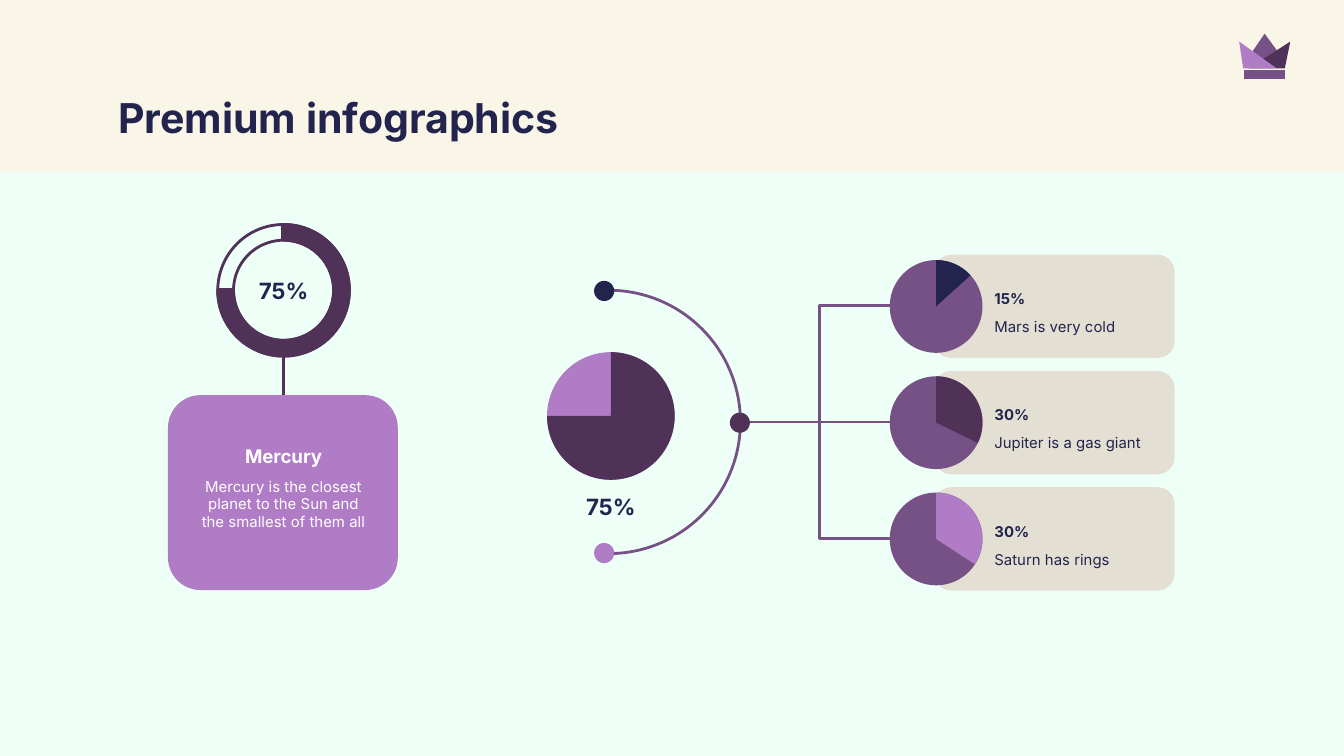
from dataclasses import dataclass
from typing import Optional, Sequence

from lxml.etree import SubElement
from pptx import Presentation
from pptx.dml.color import RGBColor
from pptx.enum.shapes import MSO_CONNECTOR as Link, MSO_SHAPE as Preset
from pptx.enum.text import MSO_ANCHOR as Anchor, MSO_AUTO_SIZE as Fit, PP_ALIGN as Align
from pptx.oxml.ns import qn
from pptx.shapes.autoshape import Shape
from pptx.slide import Slide
from pptx.util import Inches, Pt


@dataclass(frozen=True)
class Theme:
    font: str = "Inter"
    mint: str = "EEFFF7"
    cream: str = "FAF6E7"
    sand: str = "E3DFD2"
    navy: str = "22244E"
    plum: str = "503259"
    violet: str = "765186"
    lilac: str = "B07CC6"
    white: str = "FFFFFF"
    title: float = 22
    figure: float = 12
    heading: float = 10
    body: float = 8
    stroke: float = 1.5


THEME = Theme()
TOP_ANGLE = 270
ROW_STEP = 1.73 / 2
HUB_X, HUB_Y = 5.58, 3.14


@dataclass(frozen=True)
class Area:
    left: float
    top: float
    width: float
    height: float


@dataclass(frozen=True)
class Planet:
    share: str
    fact: str
    end_angle: float
    color: str


@dataclass(frozen=True)
class Dot:
    left: float
    top: float
    color: str


@dataclass(frozen=True)
class CrownPiece:
    points: Sequence[tuple[float, float]]
    color: str


PLANETS = [
    Planet("15%", "Mars is very cold", 317.94, THEME.navy),
    Planet("30%", "Jupiter is a gas giant", 25.78, THEME.plum),
    Planet("30%", "Saturn has rings", 33.16, THEME.lilac),
]
DOTS = [
    Dot(4.42, 2.09, THEME.navy),
    Dot(4.42, 4.04, THEME.lilac),
    Dot(5.43, 3.07, THEME.plum),
]
CROWN = [
    CrownPiece([(9.26, 0.52), (9.56, 0.52), (9.56, 0.59), (9.26, 0.59)], THEME.violet),
    CrownPiece([(9.26, 0.47), (9.41, 0.25), (9.57, 0.47)], THEME.violet),
    CrownPiece([(9.56, 0.51), (9.6, 0.31), (9.29, 0.51)], THEME.plum),
    CrownPiece([(9.25, 0.51), (9.22, 0.31), (9.5, 0.51)], THEME.lilac),
]


def rgb(color: str) -> RGBColor:
    return RGBColor.from_string(color)


def paint(shape: Shape, fill: Optional[str] = None, line: Optional[str] = None) -> None:
    shape.shadow.inherit = False
    if fill:
        shape.fill.solid()
        shape.fill.fore_color.rgb = rgb(fill)
    else:
        shape.fill.background()
    if line:
        shape.line.color.rgb = rgb(line)
        shape.line.width = Pt(THEME.stroke)
    else:
        shape.line.fill.background()


def add_preset(page: Slide, preset: Preset, area: Area, fill: Optional[str] = None,
               line: Optional[str] = None, adjust: Sequence[float] = ()) -> Shape:
    shape = page.shapes.add_shape(preset, Inches(area.left), Inches(area.top),
                                  Inches(area.width), Inches(area.height))
    for index, value in enumerate(adjust):
        shape.adjustments[index] = value
    paint(shape, fill, line)
    return shape


def angle(degrees: float) -> float:
    return degrees * 0.6


def write(box: Shape, text: str, size: float, color: str = THEME.navy, bold: bool = False,
          align: Align = Align.LEFT, anchor: Anchor = Anchor.TOP) -> None:
    frame = box.text_frame
    frame.word_wrap = True
    frame.auto_size = Fit.NONE
    frame.vertical_anchor = anchor
    frame.margin_left = frame.margin_right = Inches(0.1)
    frame.margin_top = frame.margin_bottom = Inches(0.1)
    para = frame.paragraphs[0]
    para.text = text
    para.alignment = align
    para.font.name = THEME.font
    para.font.size = Pt(size)
    para.font.bold = bold
    para.font.color.rgb = rgb(color)


def add_text(page: Slide, area: Area, text: str, size: float, **style) -> None:
    box = page.shapes.add_textbox(Inches(area.left), Inches(area.top),
                                  Inches(area.width), Inches(area.height))
    write(box, text, size, **style)


def add_link(page: Slide, kind: Link, start: tuple[float, float],
             end: tuple[float, float], color: str) -> None:
    link = page.shapes.add_connector(kind, *map(Inches, start + end))
    link.line.color.rgb = rgb(color)
    link.line.width = Pt(THEME.stroke)
    SubElement(link.element.spPr, qn("a:effectLst"))


def add_pie(page: Slide, area: Area, base: str, slice_color: str, end_angle: float) -> None:
    add_preset(page, Preset.OVAL, area, base)
    add_preset(page, Preset.PIE, area, slice_color,
               adjust=(angle(TOP_ANGLE), angle(end_angle)))


def add_header(page: Slide) -> None:
    title = page.shapes.title
    band = add_preset(page, Preset.RECTANGLE, Area(0, -0.01, 10, 1.29), THEME.cream)
    title.element.addprevious(band.element)
    title.left, title.top = Inches(0.78), Inches(0.59)
    title.width, title.height = Inches(8.44), Inches(0.53)
    write(title, "Premium infographics", THEME.title, bold=True)


def add_mercury(page: Slide) -> None:
    ring = Area(1.62, 1.67, 0.98, 0.98)
    add_preset(page, Preset.ROUNDED_RECTANGLE, Area(1.25, 2.94, 1.71, 1.45), THEME.lilac)
    add_text(page, Area(1.37, 3.45, 1.48, 0.58),
             "Mercury is the closest planet to the Sun and the smallest of them all",
             THEME.body, color=THEME.white, align=Align.CENTER)
    add_text(page, Area(1.37, 3.3, 1.48, 0.28), "Mercury", THEME.heading,
             color=THEME.white, bold=True, align=Align.CENTER, anchor=Anchor.BOTTOM)
    add_preset(page, Preset.DONUT, ring, line=THEME.plum, adjust=(0.12,))
    gauge = add_preset(page, Preset.BLOCK_ARC, ring, THEME.plum, THEME.plum,
                       (angle(268.9), angle(180.7), 0.12))
    write(gauge, "75%", THEME.figure, bold=True, align=Align.CENTER, anchor=Anchor.MIDDLE)
    add_link(page, Link.STRAIGHT, (2.11, 2.65), (2.11, 2.94), THEME.plum)


def add_hub(page: Slide) -> None:
    add_preset(page, Preset.ARC, Area(3.55, 2.16, 1.96, 1.96), line=THEME.violet,
               adjust=(angle(TOP_ANGLE), angle(88.3)))
    for dot in DOTS:
        add_preset(page, Preset.OVAL, Area(dot.left, dot.top, 0.15, 0.15), dot.color)
    add_text(page, Area(4.2, 3.57, 0.69, 0.35), "75%", THEME.figure,
             bold=True, align=Align.CENTER)
    add_pie(page, Area(4.07, 2.62, 0.95, 0.95), THEME.lilac, THEME.plum, 180)


def add_planet(page: Slide, planet: Planet, row: int) -> None:
    middle = HUB_Y + (row - 1) * ROW_STEP
    add_preset(page, Preset.ROUNDED_RECTANGLE, Area(6.95, middle - 0.38, 1.79, 0.77), THEME.sand)
    add_pie(page, Area(6.62, middle - 0.34, 0.69, 0.69), THEME.violet,
            planet.color, planet.end_angle)
    add_link(page, Link.ELBOW, (HUB_X, HUB_Y), (6.62, middle), THEME.violet)
    add_text(page, Area(7.3, middle - 0.01, 1.36, 0.24), planet.fact, THEME.body)
    add_text(page, Area(7.3, middle - 0.22, 0.51, 0.28), planet.share, THEME.body, bold=True)


def add_crown_piece(page: Slide, piece: CrownPiece) -> None:
    points = [(Inches(x), Inches(y)) for x, y in piece.points]
    outline = page.shapes.build_freeform(*points[0])
    outline.add_line_segments(points[1:], close=True)
    paint(outline.convert_to_shape(), piece.color)


def main() -> None:
    deck = Presentation()
    deck.slide_width, deck.slide_height = Inches(10), Inches(10 * 9 / 16)
    page = deck.slides.add_slide(deck.slide_layouts[5])
    page.background.fill.solid()
    page.background.fill.fore_color.rgb = rgb(THEME.mint)
    add_header(page)
    add_mercury(page)
    add_hub(page)
    for row, planet in enumerate(PLANETS):
        add_planet(page, planet, row)
    for piece in CROWN:
        add_crown_piece(page, piece)
    deck.save("out.pptx")


if __name__ == "__main__":
    main()
